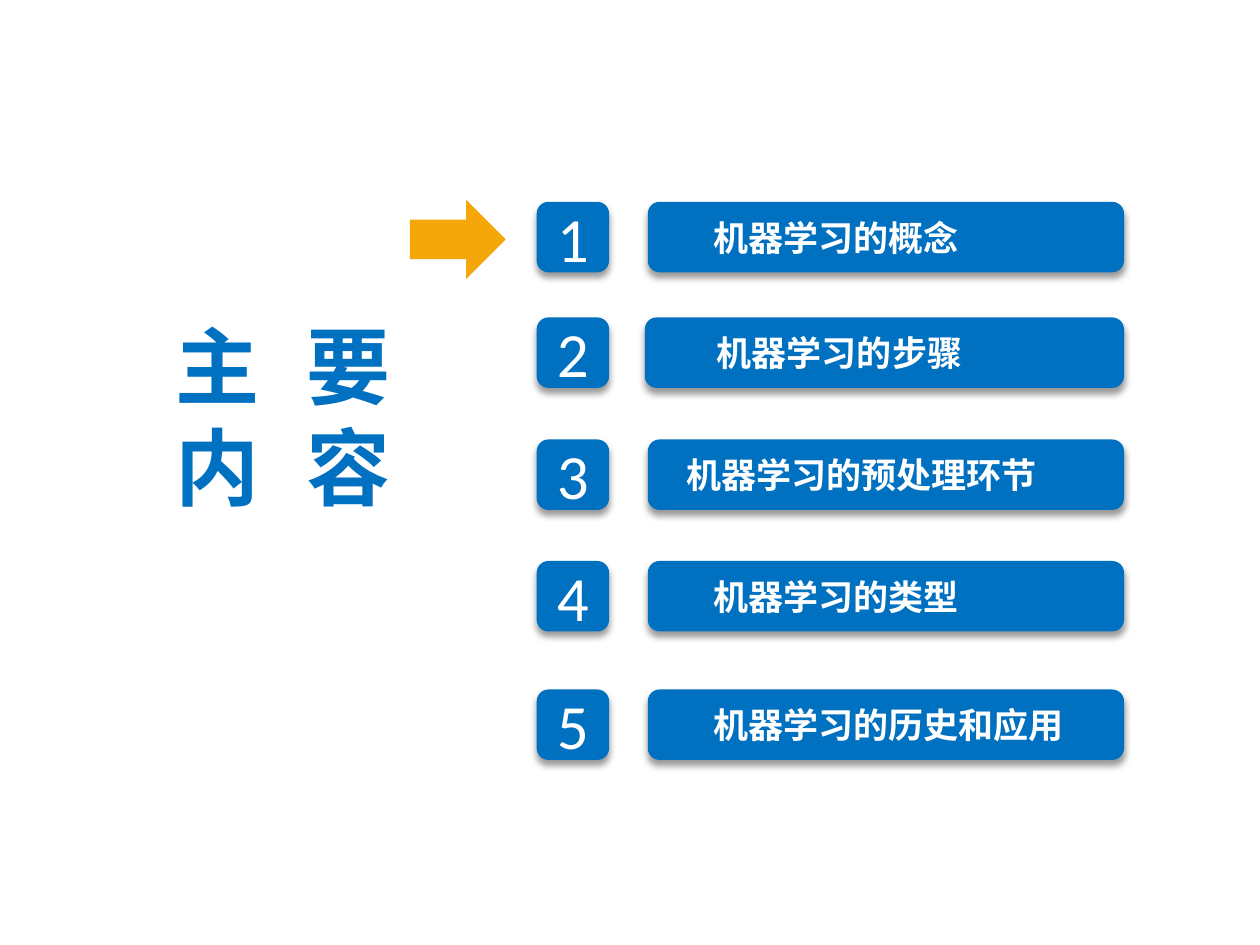
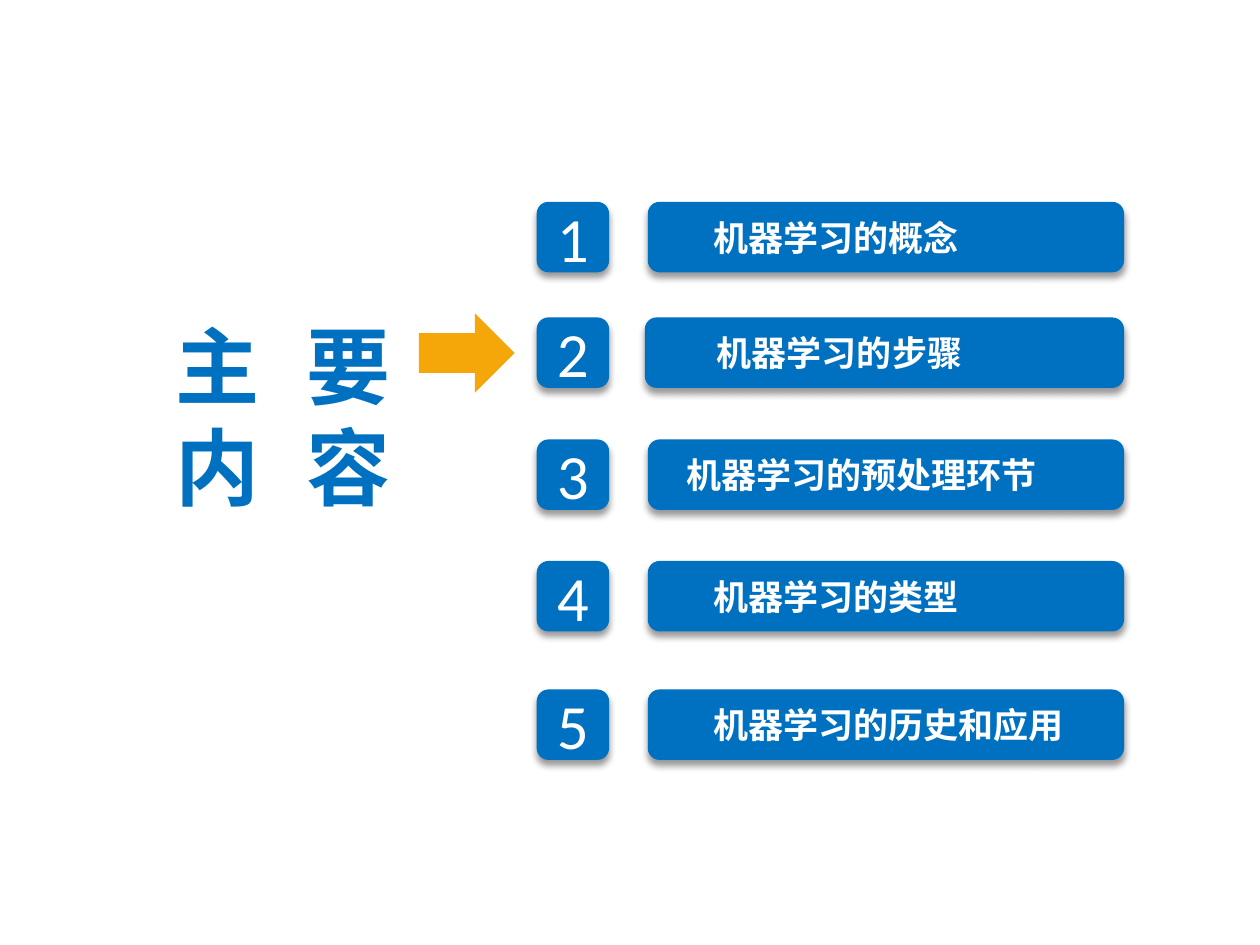
from dataclasses import dataclass

from lxml.etree import SubElement
from pptx import Presentation
from pptx.dml.color import RGBColor
from pptx.enum.shapes import MSO_SHAPE as Form
from pptx.enum.text import MSO_ANCHOR as Anchor, MSO_AUTO_SIZE as Fit, PP_ALIGN as Align
from pptx.oxml.ns import qn
from pptx.util import Cm, Pt


@dataclass(frozen=True)
class Theme:
    blue: str = "0070C0"
    gold: str = "F5A609"
    white: str = "FFFFFF"
    shade: str = "000000"
    latin: str = "Calibri"
    hans: str = "Noto Sans CJK SC"
    head: int = 48
    digit: int = 36
    label: int = 20


@dataclass(frozen=True)
class Row:
    text: str
    top: float
    left: float = 14.05
    width: float = 8.2
    bar: float = 13.06


ROWS = [
    Row("机器学习的概念", 4.07),
    Row("机器学习的步骤", 6.4, left=14.12, width=9.45, bar=13),
    Row("机器学习的预处理环节", 8.86, left=13.51, width=9.17),
    Row("机器学习的类型", 11.31),
    Row("机器学习的历史和应用", 13.9),
]
ARROWS = [(8.43, 3.86), (8.61, 6.15)]
BAR_END = 22.66
HIGH = 1.42


def write(shape, *lines, font, size, color, bold=False, align=Align.LEFT,
          anchor=Anchor.TOP, space=0):
    frame = shape.text_frame
    frame.word_wrap = True
    frame.vertical_anchor = anchor
    frame.margin_left = frame.margin_right = Cm(0.33)
    frame.margin_top = frame.margin_bottom = Cm(0.18)
    for i, line in enumerate(lines):
        para = frame.add_paragraph() if i else frame.paragraphs[0]
        para.alignment = align
        run = para.add_run()
        run.text = line
        run.font.size = Pt(size)
        run.font.bold = bold
        run.font.name = font
        run.font.color.rgb = RGBColor.from_string(color)
        props = run._r.get_or_add_rPr()
        SubElement(props, qn("a:ea"), typeface=font)
        if space:
            props.set("spc", str(space * 100))


class Deck:
    def __init__(self, theme):
        self.theme = theme
        self.file = Presentation()
        self.file.slide_width, self.file.slide_height = Cm(25.4), Cm(19.05)

    def start(self):
        self.slide = self.file.slides.add_slide(self.file.slide_layouts[6])

    def shape(self, home, form, color, *box):
        item = home.add_shape(form, *map(Cm, box))
        item.shadow.inherit = False
        item.fill.solid()
        item.fill.fore_color.rgb = RGBColor.from_string(color)
        item.line.fill.background()
        return item

    def tile(self, home, *box):
        item = self.shape(home, Form.ROUNDED_RECTANGLE, self.theme.blue, *box)
        effects = item._element.spPr.find(qn("a:effectLst"))
        cast = SubElement(effects, qn("a:outerShdw"), blurRad=str(Pt(4)),
                          dist=str(Pt(3)), dir="5400000", rotWithShape="0")
        tint = SubElement(cast, qn("a:srgbClr"), val=self.theme.shade)
        SubElement(tint, qn("a:alpha"), val="40000")
        return item

    def text(self, home, box, *lines, **style):
        item = home.add_textbox(*map(Cm, box))
        write(item, *lines, font=self.theme.hans, bold=True, **style)
        item.text_frame.auto_size = Fit.SHAPE_TO_FIT_TEXT

    def title(self):
        self.text(self.slide.shapes, (0.95, 6.17, 9.52, 4.45), "主 要", "内 容",
                  size=self.theme.head, color=self.theme.blue,
                  align=Align.CENTER, space=8)

    def row(self, num, row):
        theme = self.theme
        badge = self.tile(self.slide.shapes, 10.82, row.top, 1.46, HIGH)
        write(badge, str(num), font=theme.latin, size=theme.digit,
              color=theme.white, align=Align.CENTER, anchor=Anchor.MIDDLE)
        group = self.slide.shapes.add_group_shape().shapes
        self.tile(group, row.bar, row.top, BAR_END - row.bar, HIGH)
        self.text(group, (row.left, row.top + 0.11, row.width, 1.19), row.text,
                  size=theme.label, color=theme.white)

    def arrow(self, left, top):
        item = self.shape(self.slide.shapes, Form.DOWN_ARROW, self.theme.gold,
                          left, top, 1.6, 1.93)
        item.rotation = 270


def main():
    deck = Deck(Theme())
    for place in ARROWS:
        deck.start()
        for num, row in enumerate(ROWS, 1):
            deck.row(num, row)
        deck.title()
        deck.arrow(*place)
    deck.file.save("out.pptx")


if __name__ == "__main__":
    main()
